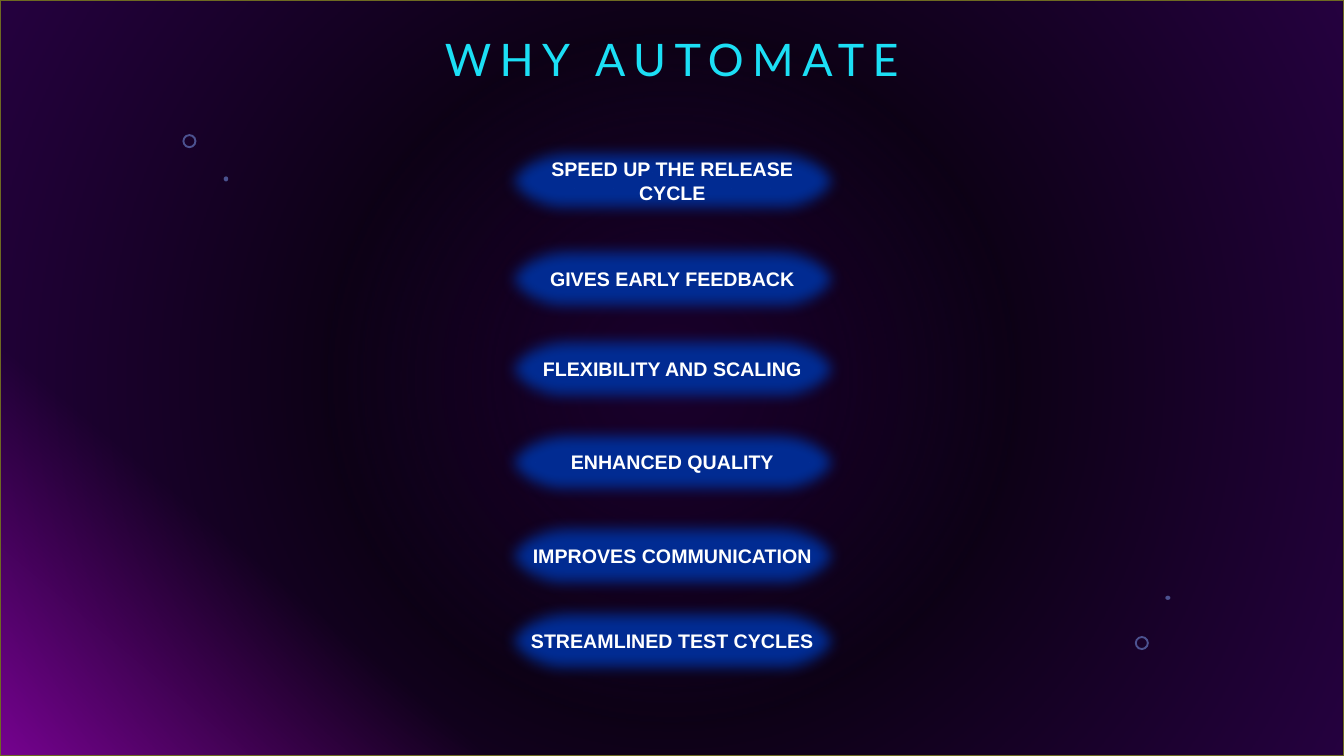
from lxml import etree
from pptx import Presentation
from pptx.dml.color import RGBColor
from pptx.enum.shapes import MSO_SHAPE as Kind
from pptx.enum.text import MSO_ANCHOR as Anchor, MSO_AUTO_SIZE as Fit, PP_ALIGN as Align
from pptx.oxml import parse_xml
from pptx.oxml.ns import nsdecls, qn
from pptx.util import Pt

BLACK = RGBColor(0x00, 0x00, 0x00)
PURPLE = RGBColor(0xA2, 0x03, 0xA1)
NIGHT = RGBColor(0x1A, 0x01, 0x2C)
VIOLET = RGBColor(0x4A, 0x02, 0x7F)
OLIVE = RGBColor(0x6E, 0x6A, 0x21)
SKY = RGBColor(0x83, 0xA7, 0xFD)
CYAN = RGBColor(0x1C, 0xDF, 0xF5)
BLUE = RGBColor(0x02, 0x2D, 0x94)
GRAPE = RGBColor(0x5B, 0x02, 0xA9)
WHITE = RGBColor(0xFF, 0xFF, 0xFF)


def add_form(kind, left, top, width, height, fill, line=None):
    form = slide.shapes.add_shape(kind, Pt(left), Pt(top), Pt(width), Pt(height))
    form.shadow.inherit = False
    form.fill.solid()
    form.fill.fore_color.rgb = fill
    if line is None:
        form.line.fill.background()
    else:
        form.line.color.rgb = line
        form.line.width = Pt(1)
    return form


deck = Presentation()
deck.slide_width, deck.slide_height = Pt(960), Pt(540)
slide = deck.slides.add_slide(deck.slide_layouts[5])
title = slide.shapes.title

# Backdrop: a corner glow under a half-clear radial veil
back = slide.background.fill
back.gradient()
back.gradient_angle = 230
for stop, (place, color) in zip(back.gradient_stops, [(0.78, BLACK), (1, PURPLE)]):
    stop.position = place
    stop.color.rgb = color

veil = add_form(Kind.RECTANGLE, 0, 0, 960, 540, NIGHT, OLIVE)
stops = "".join(
    f'<a:gs pos="{place * 1000}"><a:srgbClr val="{color}">'
    f'<a:alpha val="{alpha * 1000}"/></a:srgbClr></a:gs>'
    for place, color, alpha in [(0, NIGHT, 100), (45, NIGHT, 50), (100, VIOLET, 50)])
solid = veil.element.spPr.find(qn("a:solidFill"))
solid.getparent().replace(solid, parse_xml(
    f'<a:gradFill {nsdecls("a")} rotWithShape="1"><a:gsLst>{stops}</a:gsLst>'
    '<a:path path="circle"><a:fillToRect l="50000" t="50000" r="50000" b="50000"/>'
    '</a:path></a:gradFill>'))
title.element.addprevious(veil.element)

# Small rings and dots
for kind, left, top, width, height in [
        (Kind.DONUT, 130.3, 95.8, 10, 10), (Kind.OVAL, 159.8, 126, 3.2, 3.6),
        (Kind.DONUT, 810.6, 454.3, 10, 10), (Kind.OVAL, 832.4, 425.5, 3.6, 3)]:
    mark = add_form(kind, left, top, width, height, SKY)
    if kind == Kind.DONUT:
        mark.adjustments[0] = 0.14
    tint = mark.element.spPr.find(qn("a:solidFill"))[0]
    etree.SubElement(tint, qn("a:alpha"), val="49000")
    title.element.addprevious(mark.element)

# Title
title.left, title.top, title.width, title.height = Pt(231), Pt(21), Pt(498), Pt(44.5)
frame = title.text_frame
frame.word_wrap = True
frame.auto_size = Fit.NONE
frame.vertical_anchor = Anchor.BOTTOM
para = frame.paragraphs[0]
para.alignment = Align.CENTER
para.line_spacing = 0.9
run = para.add_run()
run.text = "WHY AUTOMATE"
run.font.name = "Lato"
run.font.size = Pt(32)
run.font.color.rgb = CYAN
run.font._element.set("spc", "600")

# Reasons, each in a soft-edged pill
for top, text in [
        (101, "SPEED UP THE RELEASE CYCLE"),
        (171, "GIVES EARLY FEEDBACK"),
        (235.5, "FLEXIBILITY AND SCALING"),
        (302, "ENHANCED QUALITY"),
        (369, "IMPROVES COMMUNICATION"),
        (429.5, "STREAMLINED TEST CYCLES")]:
    pill = add_form(Kind.FLOWCHART_TERMINATOR, 355, top, 250.5, 56, BLUE, GRAPE)
    glow = pill.element.spPr.find(qn("a:effectLst"))
    etree.SubElement(glow, qn("a:softEdge"), rad=str(Pt(10)))
    pill.text_frame.word_wrap = True
    pill.text_frame.vertical_anchor = Anchor.MIDDLE
    para = pill.text_frame.paragraphs[0]
    para.alignment = Align.CENTER
    run = para.add_run()
    run.text = text
    run.font.name = "Arial"
    run.font.size = Pt(14)
    run.font.bold = True
    run.font.color.rgb = WHITE

deck.save("out.pptx")
